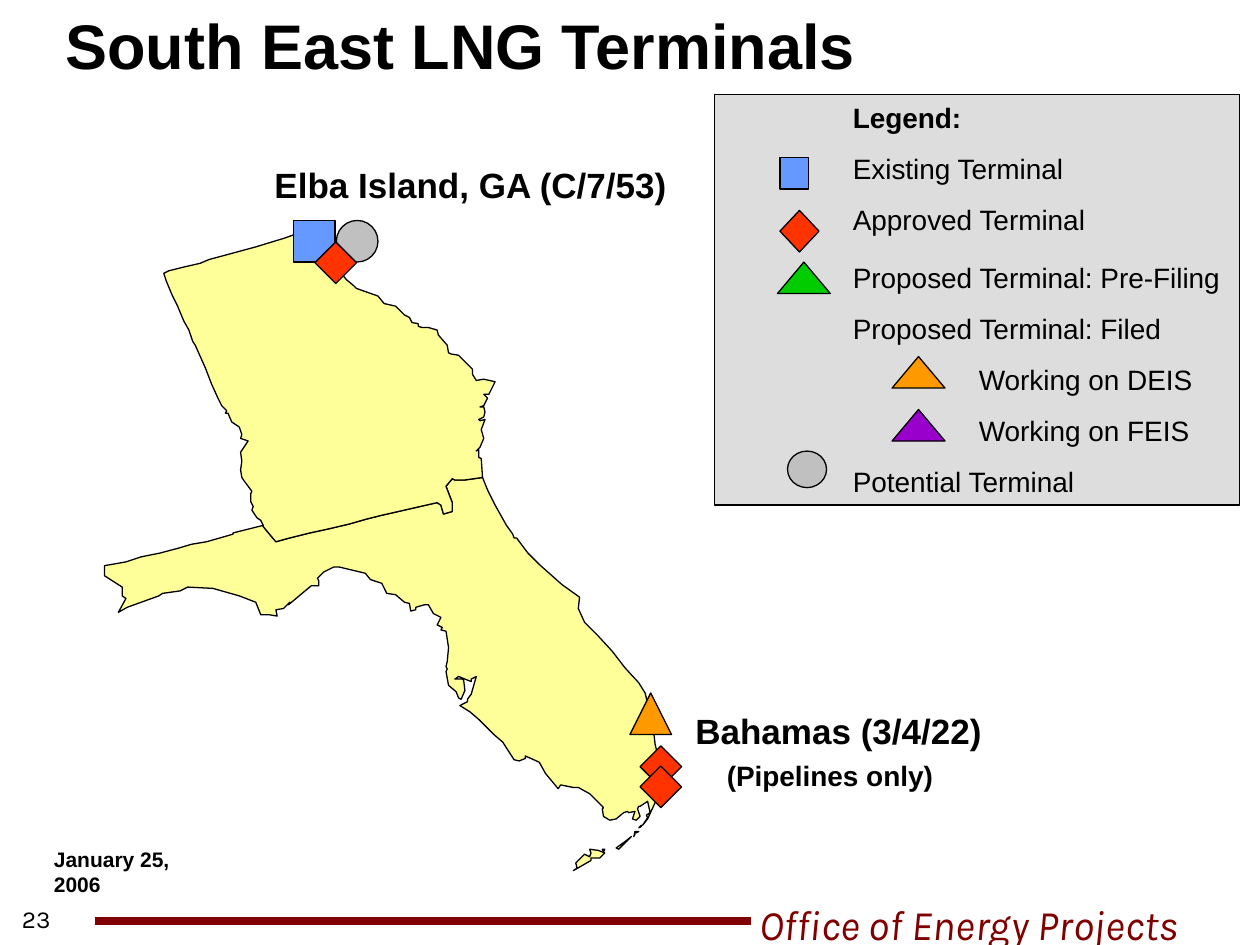
from dataclasses import dataclass

from pptx import Presentation
from pptx.dml.color import RGBColor
from pptx.enum.shapes import MSO_CONNECTOR, MSO_SHAPE as Shape
from pptx.enum.text import MSO_ANCHOR as Anchor, MSO_AUTO_SIZE as AutoSize, PP_ALIGN as Align
from pptx.oxml.ns import qn
from pptx.util import Inches, Pt


@dataclass(frozen=True)
class Theme:
    """Colours, fonts and type sizes of the slide."""
    ink: str = "000000"
    maroon: str = "800000"
    land: str = "FFFF99"
    panel: str = "DDDDDD"
    existing: str = "6699FF"
    approved: str = "FF3300"
    prefiling: str = "00CC00"
    deis: str = "FF9900"
    feis: str = "9900CC"
    potential: str = "C0C0C0"
    body_font: str = "Arial"
    footer_font: str = "Karla"
    title_size: int = 36
    footer_size: int = 24
    place_size: int = 20
    legend_size: int = 16
    number_size: int = 14
    date_size: int = 12


THEME = Theme()

BORDER = """383,379 369,381 361,381 359,380 354,386 359,399 359,406 352,408 350,401 347,399
338,401 325,404 303,409 291,412 277,416 260,420 246,423 230,427 219,430 209,418 209,417"""

PANHANDLE = """201,419 185,423 185,424 164,430 152,432 142,435 127,439 112,442 100,446
83,449 83,457 97,466 97,473 100,475 94,486 101,482 126,473 129,471 143,469 149,466 169,467
190,473 203,478 207,488 214,488 220,489 219,484 225,483 230,478 229,480 247,465 253,465 253,461
252,459 257,454 265,450 269,450 290,455 294,460 303,463 307,471 314,472 321,478 325,479 326,485"""

GULF_COAST = """330,484 330,482 337,480 340,480 344,487 350,490 347,496 351,498 350,500 354,501
356,514 355,525 354,529 355,531 354,533 356,544 362,549 364,554 366,555 369,548 368,540 367,539
361,539 364,537 374,541 374,539 378,537 374,551 371,555 371,557 365,560 373,565 380,571 392,583
399,589 408,603 412,604 417,602 417,600 428,605 433,614 443,626 445,623 455,625 459,625 468,630
479,641 478,642 479,648 484,651 489,650 495,645 498,644 499,645 504,644 502,650 505,651 508,648"""

ATLANTIC_COAST = """506,642 507,640 508,640 514,636 516,645 513,647 514,649 510,655 514,650 520,637
524,626 525,616 523,625 518,629 520,625 517,619 518,608 522,606 524,607 520,591 518,574 512,550
507,542 496,530 486,517 475,505 464,494 459,483 460,474 446,464 428,448 419,439 410,427 408,427
407,424 402,417 393,401 387,389"""

GEORGIA_WEST = """207,413 204,411 200,405 201,402 199,398 199,392 200,390 194,382 192,379
191,373 192,366 191,359 197,350 191,348 192,345 190,339 184,335 181,328 179,328 180,326 176,322
173,316 168,305 163,292 155,274 153,271 150,262 146,255 141,243 137,235 132,223 130,217 134,215
146,212 159,209 166,206 181,202 203,196 226,189 240,184 243,183"""

GEORGIA_EAST = """243,187 239,192 236,202 242,205 252,208 253,209 262,207 265,212 271,217 275,222
281,227 283,229 300,235 305,241 314,243 321,250 325,252 327,256 332,257 332,259 335,260 340,260
347,262 348,266 355,274 356,280 358,281 364,282 375,293 375,297 378,302 384,301 393,303 388,313
384,313 387,316 384,322 381,323 384,323 385,327 384,331 380,333 381,334 385,333 382,341 384,348
381,355 378,358 380,357 380,363 382,364"""

LAND = (
    (BORDER, PANHANDLE, GULF_COAST, ATLANTIC_COAST),
    ("455,691 469,683 469,681 476,681 480,677 475,675 468,674 469,677 468,680 464,678 457,685 458,689",),
    ("489,673 491,674 501,664 496,668",),
    ("503,664 504,660 504,662",),
    ("478,674 479,676 480,674",),
    ("507,657 509,655 509,656",),
    ("504,660 507,660 505,661",),
    (BORDER, GEORGIA_WEST, GEORGIA_EAST),
)

MARKERS = (
    (Shape.OVAL, THEME.potential, 2.67, 1.75),
    (Shape.RECTANGLE, THEME.existing, 2.33, 1.75),
    (Shape.DIAMOND, THEME.approved, 2.5, 1.92),
    (Shape.ISOSCELES_TRIANGLE, THEME.deis, 5, 5.5),
    (Shape.DIAMOND, THEME.approved, 5.08, 5.92),
    (Shape.DIAMOND, THEME.approved, 5.08, 6.08),
)

LEGEND_ROWS = (
    ("Legend:", 1, 0),
    ("Existing Terminal", 1, 10),
    ("Approved Terminal", 1, 10),
    ("Proposed Terminal: Pre-Filing", 1, 13.5),
    ("Proposed Terminal: Filed", 1, 10),
    ("Working on DEIS", 2, 10),
    ("Working on FEIS", 2, 10),
    ("Potential Terminal", 1, 10),
)

LEGEND_SYMBOLS = (
    (Shape.RECTANGLE, THEME.existing, 0.52, 0.5, 0.23, 0.25),
    (Shape.DIAMOND, THEME.approved, 0.52, 0.92, 0.31, 0.33),
    (Shape.OVAL, THEME.potential, 0.58, 2.83, 0.31, 0.29),
    (Shape.ISOSCELES_TRIANGLE, THEME.prefiling, 0.5, 1.33, 0.42, 0.25),
    (Shape.ISOSCELES_TRIANGLE, THEME.deis, 1.41, 2.08, 0.42, 0.25),
    (Shape.ISOSCELES_TRIANGLE, THEME.feis, 1.41, 2.5, 0.42, 0.25),
)


def paint(shape, fill, width=0.75):
    """Give a shape a flat fill and a thin dark outline."""
    shape.shadow.inherit = False
    shape.fill.solid()
    shape.fill.fore_color.rgb = RGBColor.from_string(fill)
    shape.line.color.rgb = RGBColor.from_string(THEME.ink)
    shape.line.width = Pt(width)


def add_symbol(page, kind, fill, left, top, width=0.33, height=0.33):
    """Draw one filled preset shape and return it."""
    symbol = page.shapes.add_shape(kind, Inches(left), Inches(top), Inches(width), Inches(height))
    paint(symbol, fill)
    return symbol


def add_span(para, text, size, font=THEME.body_font, color=THEME.ink, bold=False, italic=False):
    """Add one formatted run to a paragraph."""
    span = para.add_run()
    span.text = text
    span.font.name, span.font.size = font, Pt(size)
    span.font.bold, span.font.italic = bold, italic
    span.font.color.rgb = RGBColor.from_string(color)


def add_label(page, box, text, size, wrap=True, align=Align.LEFT, anchor=Anchor.TOP, **style):
    """Place a one-line text box."""
    label = page.shapes.add_textbox(*map(Inches, box))
    frame = label.text_frame
    frame.word_wrap, frame.vertical_anchor = wrap, anchor
    para = frame.paragraphs[0]
    para.alignment = align
    add_span(para, text, size, **style)


def add_title(page, box, text):
    """Move and format the title placeholder."""
    title = page.shapes.title
    title.left, title.top, title.width, title.height = map(Inches, box)
    frame = title.text_frame
    frame.word_wrap, frame.auto_size, frame.vertical_anchor = True, AutoSize.NONE, Anchor.TOP
    para = frame.paragraphs[0]
    para.alignment, para.space_before = Align.LEFT, Pt(0)
    add_span(para, text, THEME.title_size, bold=True)


def add_map(page, box):
    """Draw both states, the islands, the terminal markers and the place names."""
    left, top = box[:2]
    for stretches in LAND:
        points = [tuple(map(int, pair.split(","))) for pair in " ".join(stretches).split()]
        builder = page.shapes.build_freeform(*points[0], scale=Inches(0.01))
        builder.add_line_segments(points[1:], close=True)
        paint(builder.convert_to_shape(Inches(left), Inches(top)), THEME.land, 0)
    for kind, fill, x, y in MARKERS:
        add_symbol(page, kind, fill, left + x, top + y)
    for text, x, y, width in (("Elba Island, GA (C/7/53)", 2.08, 1.25, 3.42),
                              ("Bahamas (3/4/22)", 5.42, 5.58, 2.83)):
        add_label(page, (left + x, top + y, width, 0.44), text, THEME.place_size, bold=True)
    add_label(page, (left + 5.67, top + 5.97, 1.84, 0.37), "(Pipelines only)",
              THEME.legend_size, wrap=False, bold=True)


def add_legend(page, box):
    """Draw the legend panel with its rows and symbols."""
    left, top = box[:2]
    panel = add_symbol(page, Shape.RECTANGLE, THEME.panel, *box)
    frame = panel.text_frame
    frame.word_wrap, frame.vertical_anchor = True, Anchor.TOP
    for index, (text, level, gap) in enumerate(LEGEND_ROWS):
        para = frame.add_paragraph() if index else frame.paragraphs[0]
        para.alignment, para.space_before = Align.LEFT, Pt(gap)
        para._p.get_or_add_pPr().set("marL", str(Inches(level)))
        add_span(para, text, THEME.legend_size, bold=index == 0)
    for kind, fill, x, y, width, height in LEGEND_SYMBOLS:
        add_symbol(page, kind, fill, left + x, top + y, width, height)


def add_footer(page, box):
    """Draw the footer rule, the office name and the page number."""
    left, top = box[:2]
    add_label(page, (left + 5.93, top, 4.07, 0.5), "Office of Energy Projects", THEME.footer_size,
              font=THEME.footer_font, color=THEME.maroon, italic=True)
    y = Inches(top + 0.23)
    rule = page.shapes.add_connector(MSO_CONNECTOR.STRAIGHT, Inches(left + 0.75), y, Inches(left + 5.96), y)
    rule.line.color.rgb = RGBColor.from_string(THEME.maroon)
    rule.line.width = Pt(4.5)
    properties = rule._element.spPr
    properties.append(properties.makeelement(qn("a:effectLst"), {}))
    add_label(page, (left - 0.02, top, 0.52, 0.42), "23", THEME.number_size, wrap=False,
              align=Align.RIGHT, anchor=Anchor.MIDDLE, font=THEME.footer_font)


def main():
    """Build and save the slide."""
    deck = Presentation()
    deck.slide_width, deck.slide_height = Inches(10), Inches(7.5)
    page = deck.slides.add_slide(deck.slide_layouts[5])
    add_footer(page, (0, 7.08, 10, 0.42))
    add_map(page, (0, 0, 8.25, 7))
    add_title(page, (0.42, 0, 7, 0.7), "South East LNG Terminals")
    add_legend(page, (5.67, 0.75, 4.17, 3.26))
    add_label(page, (0.33, 6.67, 1.53, 0.3), "January 25, 2006", THEME.date_size, wrap=False, bold=True)
    deck.save("out.pptx")


if __name__ == "__main__":
    main()
